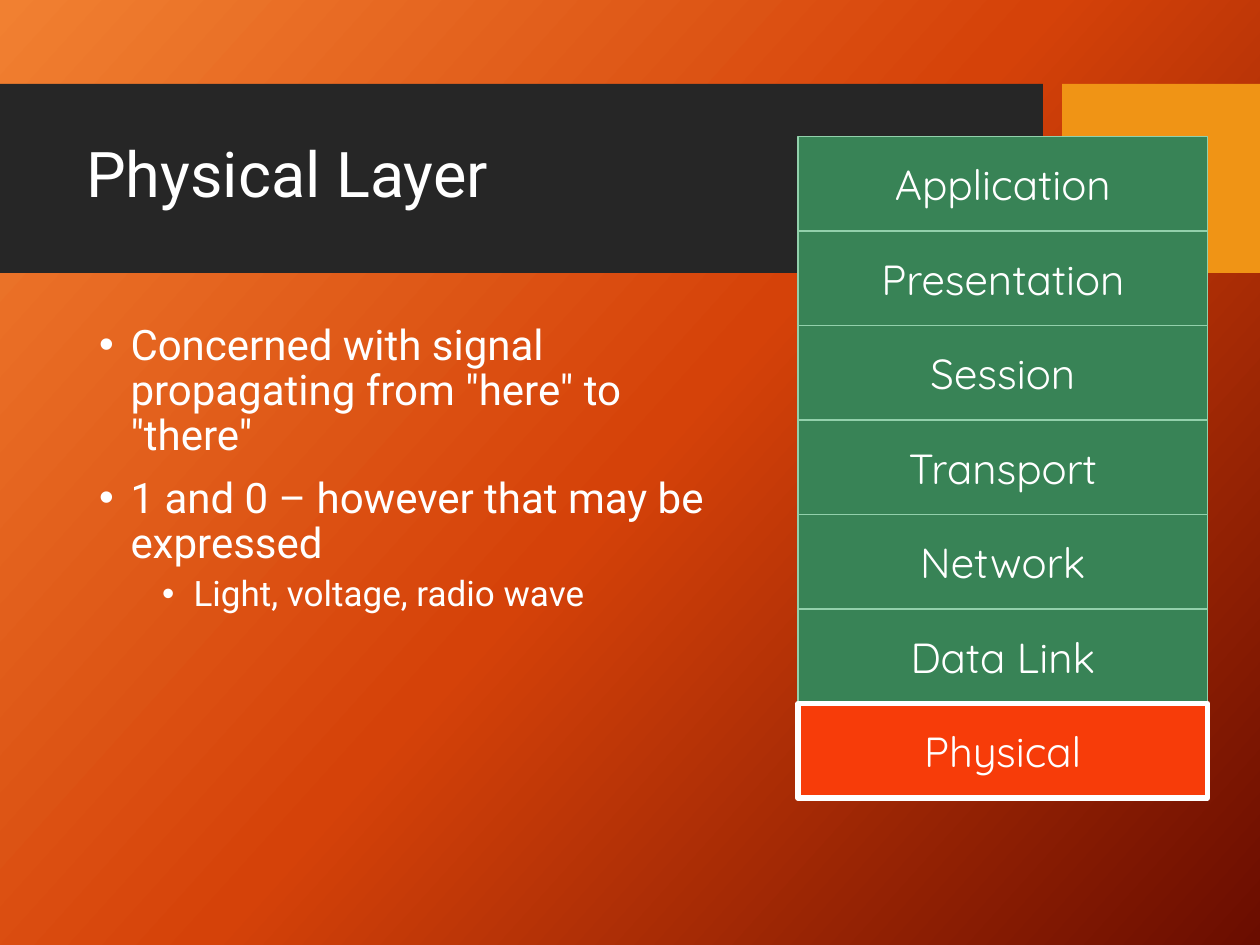
from copy import deepcopy

from lxml.etree import SubElement
from pptx import Presentation
from pptx.dml.color import RGBColor as RGB
from pptx.enum.shapes import MSO_SHAPE as SHAPE
from pptx.enum.text import MSO_ANCHOR as ANCHOR, PP_ALIGN as ALIGN
from pptx.oxml.ns import qn
from pptx.util import Pt

# Content
TITLE = "Physical Layer"
BULLETS = [  # level, text
    (0, 'Concerned with signal propagating from "here" to "there"'),
    (0, "1 and 0 – however that may be expressed"),
    (1, "Light, voltage, radio wave"),
]
LAYERS = ["Application", "Presentation", "Session", "Transport",
          "Network", "Data Link", "Physical"]
CURRENT = "Physical"

THEME = {
    "font": "Roboto", "layer_font": "Quicksand", "text": "FFFFFF",
    "title_size": 36, "bullet_sizes": [24, 20], "layer_size": 24,
    "background": [(0, "F18031"), (0.5, "D54209"), (1, "6A0D00")],
    "band": "262626", "accent": "F09415",
    "layer": ("388356", "92D0AB", 1),  # fill, line, line width
    "current": ("F73C09", "FFFFFF", 3),
}

# Layout, in points
WIDTH, HEIGHT = 720, 540
BAND_TOP, BAND_HEIGHT = 48, 108
BANDS = [(0, 596, THEME["band"]), (607, 113, THEME["accent"])]
TITLE_BOX = (42, 59, 543, 85)
BODY_BOX = (49.5, 181.5, 378, 238)
STACK_LEFT, STACK_TOP, LAYER_WIDTH, LAYER_HEIGHT = 456, 78, 234, 54
LEVELS = [(18, 10), (54, 5)]  # left margin, space before
HANGING = 18


def place(shape, left, top, width, height):
    shape.left, shape.top = Pt(left), Pt(top)
    shape.width, shape.height = Pt(width), Pt(height)


def add_run(p, text, font, size):
    r = p.add_run()
    r.text = text
    r.font.name, r.font.size = font, Pt(size)
    r.font.color.rgb = RGB.from_string(THEME["text"])


def add_rect(slide, left, top, width, height, fill):
    sp = slide.shapes.add_shape(SHAPE.RECTANGLE, Pt(left), Pt(top), Pt(width), Pt(height))
    sp.shadow.inherit = False
    sp.fill.solid()
    sp.fill.fore_color.rgb = RGB.from_string(fill)
    sp.line.fill.background()
    return sp


def set_background(slide):
    fill = slide.background.fill
    fill.gradient()
    fill.gradient_angle = 360 - 42
    first = fill.gradient_stops[0]
    stop_list = slide.background._cSld.find(".//" + qn("a:gsLst"))
    stop_list.insert(1, deepcopy(stop_list[0]))
    for stop, (position, color) in zip(fill.gradient_stops, THEME["background"]):
        stop.position = position
        stop.color.rgb = RGB.from_string(color)


def add_title(slide):
    title = slide.shapes.title
    place(title, *TITLE_BOX)
    title.element.getparent().append(title.element)  # in front of the bands
    tf = title.text_frame
    tf.word_wrap, tf.vertical_anchor = True, ANCHOR.MIDDLE
    p = tf.paragraphs[0]
    p.alignment, p.line_spacing = ALIGN.LEFT, 0.9
    add_run(p, TITLE, THEME["font"], THEME["title_size"])


def add_bullets(slide):
    tf = slide.shapes.add_textbox(*map(Pt, BODY_BOX)).text_frame
    tf.word_wrap = True
    for i, (level, text) in enumerate(BULLETS):
        p = tf.add_paragraph() if i else tf.paragraphs[0]
        margin, space = LEVELS[level]
        p.level, p.line_spacing = level, 0.9
        p.space_before = Pt(space if i else 0)
        pPr = p._p.get_or_add_pPr()
        pPr.set("marL", str(Pt(margin)))
        pPr.set("indent", str(-Pt(HANGING)))
        SubElement(pPr, qn("a:buFont"), typeface="Arial")
        SubElement(pPr, qn("a:buChar"), char="•")
        add_run(p, text, THEME["font"], THEME["bullet_sizes"][level])


def add_layers(slide):
    for i, name in enumerate(LAYERS):
        fill, line, line_width = THEME["current" if name == CURRENT else "layer"]
        sp = add_rect(slide, STACK_LEFT, STACK_TOP + i * LAYER_HEIGHT,
                      LAYER_WIDTH, LAYER_HEIGHT, fill)
        sp.line.color.rgb = RGB.from_string(line)
        sp.line.width = Pt(line_width)
        tf = sp.text_frame
        tf.vertical_anchor = ANCHOR.MIDDLE
        p = tf.paragraphs[0]
        p.alignment = ALIGN.CENTER
        add_run(p, name, THEME["layer_font"], THEME["layer_size"])


def main():
    prs = Presentation()
    prs.slide_width, prs.slide_height = Pt(WIDTH), Pt(HEIGHT)
    slide = prs.slides.add_slide(prs.slide_layouts[5])
    set_background(slide)
    for left, width, color in BANDS:
        add_rect(slide, left, BAND_TOP, width, BAND_HEIGHT, color)
    add_title(slide)
    add_bullets(slide)
    add_layers(slide)
    prs.save("out.pptx")


if __name__ == "__main__":
    main()
